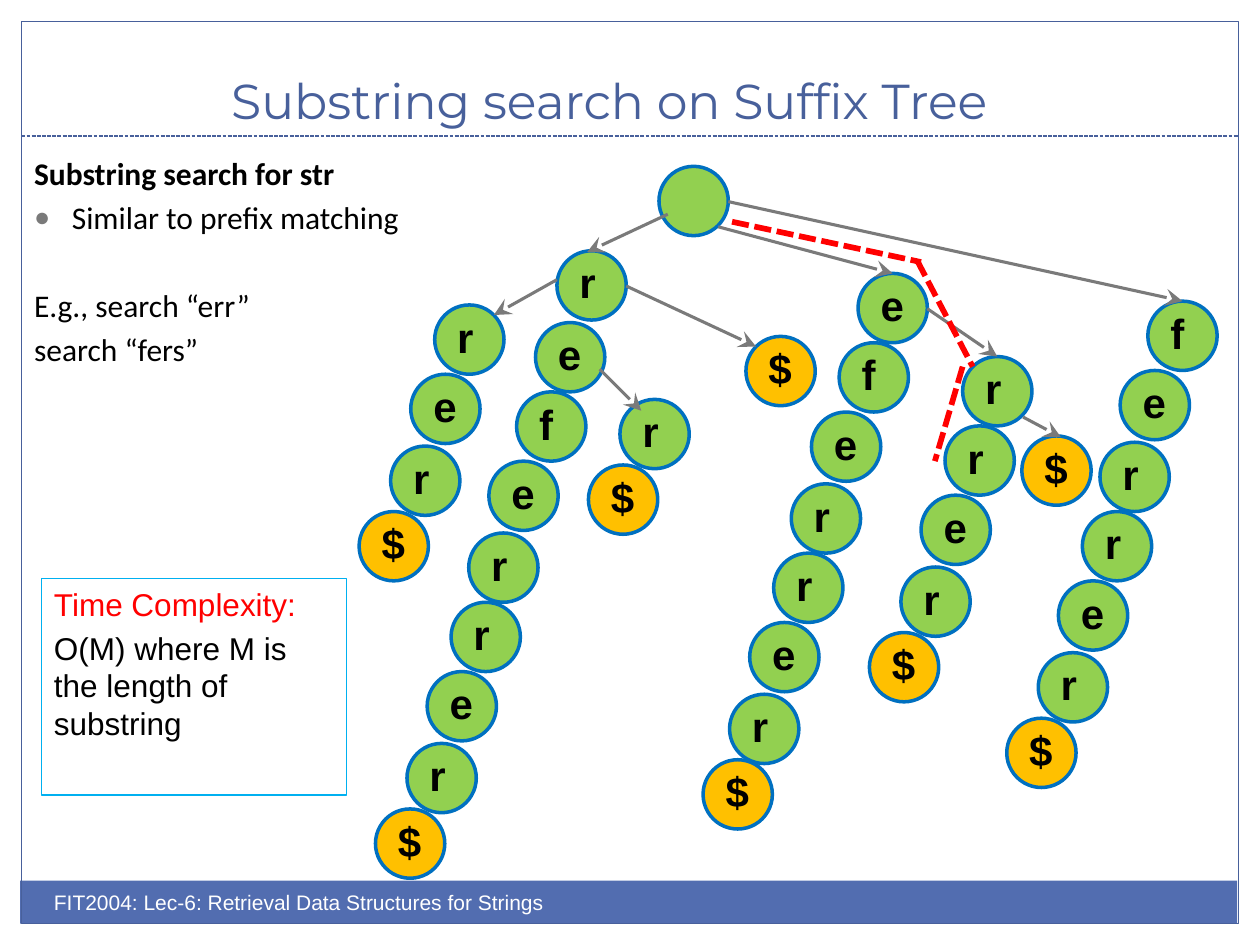
from dataclasses import dataclass

from lxml.etree import SubElement
from pptx import Presentation
from pptx.dml.color import RGBColor
from pptx.enum.dml import MSO_LINE as Dash
from pptx.enum.shapes import MSO_CONNECTOR as Connector, MSO_SHAPE as Shape
from pptx.enum.text import MSO_ANCHOR as Anchor, MSO_AUTO_SIZE as AutoSize, PP_ALIGN as Align
from pptx.oxml.ns import qn
from pptx.util import Inches, Pt

NAVY, BAR, GREY, RED = "48609B", "526DB0", "7A7A7A", "FF0000"
GREEN, AMBER, BLUE, CYAN = "92D050", "FFC000", "0070C0", "00B0F0"
BLACK, WHITE = "000000", "FFFFFF"
DIAMETER = 0.55
LABEL_WIDTHS = {"r": 0.33, "e": 0.39, "f": 0.31, "$": 0.39}
# Offset from a node to the one below it, by the pair of letters
STEPS = {"er": (-0.16, 0.57), "rr": (-0.14, 0.55), "re": (-0.19, 0.55),
         "r$": (-0.25, 0.52), "ef": (-0.15, 0.55), "fe": (-0.22, 0.55)}


@dataclass
class Chain:
    letters: str
    left: float
    top: float


@dataclass
class Edge:
    start: tuple[float, float]
    end: tuple[float, float]
    child: str = ""  # chain whose first node's top the edge joins


CHAINS = {
    "r": Chain("r", 4.42, 1.99),
    "refer": Chain("eferrer$", 4.25, 2.56),
    "rrer": Chain("rer$", 3.45, 2.42),
    "rer": Chain("r$", 4.92, 3.17),
    "r end": Chain("$", 5.92, 2.67),
    "e": Chain("eferrer", 6.81, 2.17),
    "e end": Chain("$", 5.58, 6.03),
    "er": Chain("rrer$", 7.64, 2.83),
    "er end": Chain("$", 8.11, 3.46),
    "f": Chain("ferrer$", 9.11, 2.39),
}
EDGES = [
    Edge((5.3, 1.7), (4.66, 2)),
    Edge((5.7, 1.8), (7.08, 2.17), "e"),
    Edge((5.78, 1.6), (9.38, 2.39), "f"),
    Edge((7.36, 2.45), (7.92, 2.83), "er"),
    Edge((8.12, 3.31), (8.42, 3.47)),
    Edge((4.76, 2.93), (5.09, 3.26)),
    Edge((4.42, 2.22), (3.92, 2.5)),
    Edge((4.97, 2.27), (6, 2.75)),
]
SEARCH_PATH = [
    Edge((5.81, 1.76), (7.31, 2.08)),
    Edge((7.28, 2.07), (7.72, 2.91)),
    Edge((7.64, 2.91), (7.42, 3.66)),
]


def rgb(value: str) -> RGBColor:
    return RGBColor.from_string(value)


def place(shape, left: float, top: float, width: float, height: float) -> None:
    shape.left, shape.top = Inches(left), Inches(top)
    shape.width, shape.height = Inches(width), Inches(height)


def write(frame, text: str, *, size: float, font: str = "Arial", color: str = BLACK,
          bold: bool = False, align=Align.LEFT, before: float = 0):
    """Fill the frame's first paragraph, or add one if that holds text."""
    paragraph = frame.paragraphs[0] if not frame.text else frame.add_paragraph()
    paragraph.alignment = align
    paragraph.space_before = Pt(before)
    run = paragraph.add_run()
    run.text = text
    run.font.name, run.font.size, run.font.bold = font, Pt(size), bold
    run.font.color.rgb = rgb(color)
    return paragraph


def set_bullet(paragraph, bullet: str = "") -> None:
    properties = paragraph._p.get_or_add_pPr()
    indent = Inches(0.3) if bullet else 0
    properties.set("marL", str(indent))
    properties.set("indent", str(-indent))
    if bullet:
        bullet_color = SubElement(properties, qn("a:buClr"))
        SubElement(bullet_color, qn("a:srgbClr"), val=GREY)
        SubElement(properties, qn("a:buSzPct"), val="85000")
        SubElement(properties, qn("a:buChar"), char=bullet)
    else:
        SubElement(properties, qn("a:buNone"))


def add_shape(shapes, kind, left: float, top: float, width: float, height: float, *,
              fill: str = "", line: str = "", weight: float = 0.75):
    shape = shapes.add_shape(kind, Inches(left), Inches(top), Inches(width), Inches(height))
    shape.shadow.inherit = False
    if fill:
        shape.fill.solid()
        shape.fill.fore_color.rgb = rgb(fill)
    else:
        shape.fill.background()
    if line:
        shape.line.color.rgb = rgb(line)
        shape.line.width = Pt(weight)
    else:
        shape.line.fill.background()
    return shape


def add_circle(shapes, left: float, top: float, fill: str = GREEN):
    return add_shape(shapes, Shape.OVAL, left, top, DIAMETER, DIAMETER,
                     fill=fill, line=BLUE, weight=2)


def add_node(shapes, letter: str, left: float, top: float):
    node = shapes.add_group_shape()
    circle = add_circle(node.shapes, left, top, AMBER if letter == "$" else GREEN)
    label = node.shapes.add_textbox(Inches(left + 0.08), Inches(top),
                                    Inches(LABEL_WIDTHS[letter]), Inches(0.5))
    label.text_frame.word_wrap = False
    label.text_frame.auto_size = AutoSize.SHAPE_TO_FIT_TEXT
    write(label.text_frame, letter, size=24, bold=True)
    return circle


def add_chain(shapes, chain: Chain):
    """Draw the nodes downwards and return the first circle."""
    left, top = chain.left, chain.top
    first = add_node(shapes, chain.letters[0], left, top)
    for upper, lower in zip(chain.letters, chain.letters[1:]):
        across, down = STEPS[upper + lower]
        left, top = left + across, top + down
        add_node(shapes, lower, left, top)
    return first


def add_line(shapes, edge: Edge, color: str, weight: float, *,
             dashed: bool = False, arrow: bool = False):
    points = [Inches(value) for value in edge.start + edge.end]
    line = shapes.add_connector(Connector.STRAIGHT, *points)
    line.line.color.rgb = rgb(color)
    line.line.width = Pt(weight)
    if dashed:
        line.line.dash_style = Dash.SQUARE_DOT
    if arrow:
        SubElement(line.line._get_or_add_ln(), qn("a:tailEnd"),
                   type="stealth", w="lg", len="lg")
    SubElement(line._element.spPr, qn("a:effectLst"))
    return line


def main() -> None:
    deck = Presentation()
    deck.slide_width, deck.slide_height = Inches(10), Inches(7.5)
    slide = deck.slides.add_slide(deck.slide_layouts[1])
    shapes = slide.shapes
    title, body = slide.placeholders

    add_shape(shapes, Shape.RECTANGLE, 0.16, 6.99, 9.66, 0.34, fill=BAR)
    add_shape(shapes, Shape.RECTANGLE, 0.17, 0.17, 9.66, 7.16, line=NAVY)
    add_line(shapes, Edge((0.17, 1.08), (9.83, 1.08)), NAVY, 0.75, dashed=True)
    footer = shapes.add_textbox(Inches(0.33), Inches(7.01), Inches(5), Inches(0.4))
    footer.text_frame.word_wrap = True
    write(footer.text_frame, "FIT2004: Lec-6: Retrieval Data Structures for Strings",
          size=12, color=WHITE)

    place(title, -0.08, 0.25, 9.83, 0.83)
    title.text_frame.vertical_anchor = Anchor.BOTTOM
    title.text_frame.auto_size = AutoSize.NONE
    write(title.text_frame, "Substring search on Suffix Tree", size=28,
          font="Montserrat", color=NAVY, align=Align.CENTER)

    place(body, 0.17, 1.17, 4.33, 5.55)
    body.text_frame.auto_size = AutoSize.NONE
    for text, bold, before, bullet in [
        ("Substring search for str", True, 3.6, ""),
        ("Similar to prefix matching", False, 3.6, "●"),
        ("E.g., search “err”", False, 29, ""),
        ("search “fers”", False, 3.6, ""),
    ]:
        set_bullet(write(body.text_frame, text, size=18, font="Calibri",
                         bold=bold, before=before), bullet)

    add_circle(shapes, 5.23, 1.32)
    tops = {name: add_chain(shapes, chain) for name, chain in CHAINS.items()}
    for edge in EDGES:
        arrow = add_line(shapes, edge, GREY, 1.75, arrow=True)
        if edge.child:
            arrow.end_connect(tops[edge.child], 0)

    complexity = add_shape(shapes, Shape.RECTANGLE, 0.33, 4.59, 2.42, 1.72, line=CYAN)
    complexity.text_frame.vertical_anchor = Anchor.TOP
    complexity.text_frame.word_wrap = True
    write(complexity.text_frame, "Time Complexity:", size=18, color=RED, before=3.6)
    write(complexity.text_frame, "O(M) where M is the length of substring", size=18, before=3.6)

    for stretch in SEARCH_PATH:
        add_line(shapes, stretch, RED, 3.25, dashed=True)

    deck.save("out.pptx")


if __name__ == "__main__":
    main()
